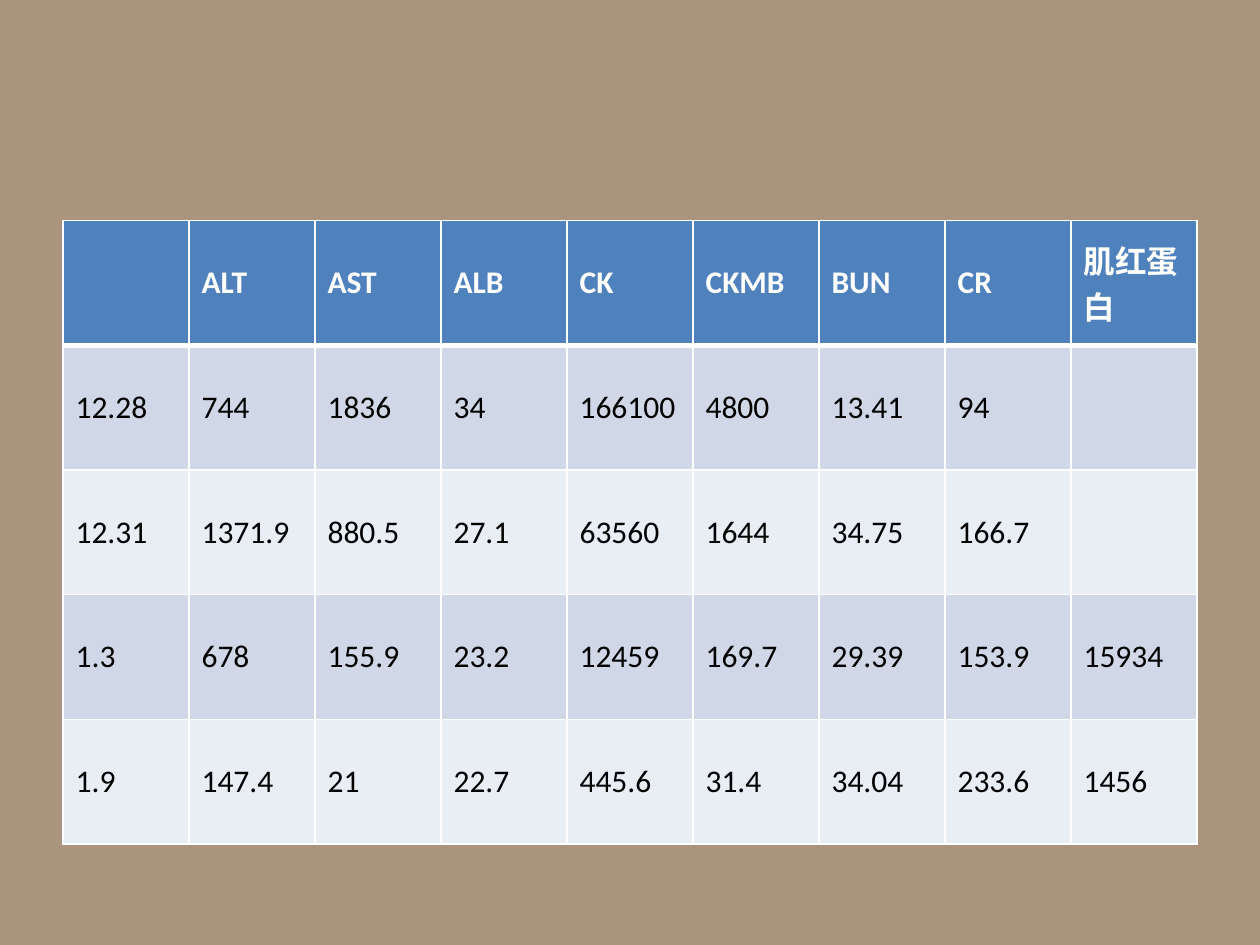
from dataclasses import dataclass

from lxml.etree import SubElement
from pptx import Presentation
from pptx.dml.color import RGBColor
from pptx.enum.text import MSO_ANCHOR
from pptx.oxml.ns import qn
from pptx.util import Inches, Pt


@dataclass(frozen=True)
class Theme:
    background: str = "AA947E"
    header: str = "4F81BD"
    bands: tuple = ("D0D8E8", "E9EDF4")
    border: str = "FFFFFF"
    header_text: str = "FFFFFF"
    body_text: str = "000000"
    font: str = "Calibri"
    size: int = 18
    thin: int = 1
    thick: int = 3


LAB_RESULTS = [
    ["", "ALT", "AST", "ALB", "CK", "CKMB", "BUN", "CR", "肌红蛋白"],
    ["12.28", "744", "1836", "34", "166100", "4800", "13.41", "94", ""],
    ["12.31", "1371.9", "880.5", "27.1", "63560", "1644", "34.75", "166.7", ""],
    ["1.3", "678", "155.9", "23.2", "12459", "169.7", "29.39", "153.9", "15934"],
    ["1.9", "147.4", "21", "22.7", "445.6", "31.4", "34.04", "233.6", "1456"],
]


def write_text(tf, text, *, font, size, color, bold=False):
    r = tf.paragraphs[0].add_run()
    r.text = text
    r.font.name = font
    r.font.size = Pt(size)
    r.font.bold = bold
    r.font.color.rgb = RGBColor.from_string(color)


def set_borders(cell, color, **widths):
    """Draw cell edges; widths in points are keyed L, R, T, B in that order."""
    tc_pr = cell._tc.get_or_add_tcPr()
    for side, width in widths.items():
        ln = SubElement(tc_pr, qn(f"a:ln{side}"), w=str(Pt(width)))
        fill = SubElement(ln, qn("a:solidFill"))
        SubElement(fill, qn("a:srgbClr"), val=color)


class SlideBuilder:
    def __init__(self, prs, theme):
        self.theme = theme
        self.slide = prs.slides.add_slide(prs.slide_layouts[6])
        fill = self.slide.background.fill
        fill.solid()
        fill.fore_color.rgb = RGBColor.from_string(theme.background)

    def table(self, rows, left, top, width, height):
        shape = self.slide.shapes.add_table(
            len(rows), len(rows[0]), left, top, width, height)
        for i, row in enumerate(rows):
            for j, text in enumerate(row):
                self.cell(shape.table.cell(i, j), text, i)

    def cell(self, cell, text, row):
        t = self.theme
        is_header = row == 0
        set_borders(cell, t.border, L=t.thin, R=t.thin,
                    T=t.thick if row == 1 else t.thin,
                    B=t.thick if is_header else t.thin)
        cell.fill.solid()
        color = t.header if is_header else t.bands[(row - 1) % len(t.bands)]
        cell.fill.fore_color.rgb = RGBColor.from_string(color)
        cell.vertical_anchor = MSO_ANCHOR.MIDDLE
        if text:
            write_text(cell.text_frame, text, font=t.font, size=t.size,
                       color=t.header_text if is_header else t.body_text,
                       bold=is_header)


def main():
    prs = Presentation()
    prs.slide_width, prs.slide_height = Inches(10), Inches(7.5)
    builder = SlideBuilder(prs, Theme())
    builder.table(LAB_RESULTS, Inches(0.5), Inches(1.75), Inches(9), Inches(4.95))
    prs.save("out.pptx")


if __name__ == "__main__":
    main()
